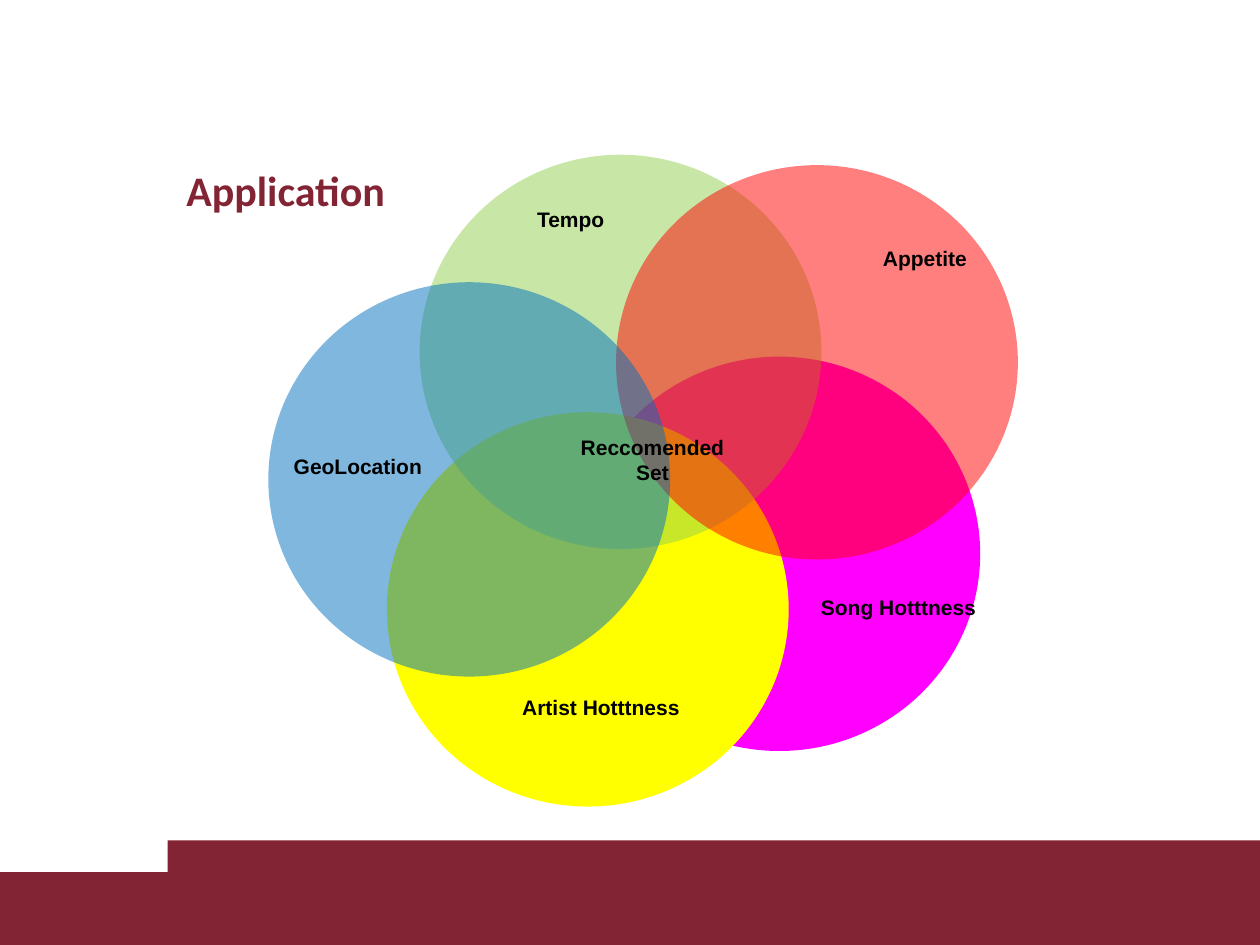
from lxml.etree import SubElement
from pptx import Presentation
from pptx.dml.color import RGBColor
from pptx.enum.shapes import MSO_SHAPE
from pptx.enum.text import MSO_ANCHOR, PP_ALIGN
from pptx.oxml.ns import qn
from pptx.util import Cm, Pt

COLORS = {
    "maroon": "822433",
    "magenta": "FF00FF",
    "yellow": "FFFF00",
    "green": "92D050",
    "red": "FF0000",
    "blue": "0070C0",
    "black": "000000",
}
SLIDE_WIDTH, SLIDE_HEIGHT = 25.4, 19.05
CIRCLE_WIDTH, CIRCLE_HEIGHT = 8.1, 7.95
LABEL_WIDTH, LINE_HEIGHT, LABEL_PADDING = 3.81, 0.51, 0.26

FOOTER_STEPS = [(0, 17.58), (3.38, 16.94)]
CIRCLES = [
    (11.66, 7.19, "magenta", 100),
    (7.8, 8.31, "yellow", 100),
    (8.46, 3.12, "green", 50),
    (12.42, 3.33, "red", 50),
    (5.41, 5.69, "blue", 50),
]
TITLE = "Application"
LABELS = [
    (11.25, 8.64, ["Reccomended", "Set"]),
    (16.74, 4.83, ["Appetite"]),
    (16.21, 11.86, ["Song Hotttness"]),
    (10.21, 13.87, ["Artist Hotttness"]),
    (5.31, 9.02, ["GeoLocation"]),
    (9.6, 4.04, ["Tempo"]),
]


def add_filled(slide, preset, left, top, width, height, color, opacity=100):
    shape = slide.shapes.add_shape(preset, Cm(left), Cm(top), Cm(width), Cm(height))
    shape.shadow.inherit = False
    shape.line.fill.background()
    shape.fill.solid()
    shape.fill.fore_color.rgb = RGBColor.from_string(COLORS[color])
    if opacity < 100:
        color_element = shape.fill._xPr.find(qn("a:solidFill"))[0]
        SubElement(color_element, qn("a:alpha"), val=str(opacity * 1000))


def add_text(slide, lines, left, top, width, height, size=12, font="Arial",
             color="black", align=PP_ALIGN.CENTER, anchor=MSO_ANCHOR.TOP):
    box = slide.shapes.add_textbox(Cm(left), Cm(top), Cm(width), Cm(height))
    frame = box.text_frame
    frame.word_wrap = True
    frame.vertical_anchor = anchor
    frame.text = "\n".join(lines)
    for paragraph in frame.paragraphs:
        paragraph.alignment = align
        run_font = paragraph.runs[0].font
        run_font.name = font
        run_font.size = Pt(size)
        run_font.bold = True
        run_font.color.rgb = RGBColor.from_string(COLORS[color])


presentation = Presentation()
presentation.slide_width = Cm(SLIDE_WIDTH)
presentation.slide_height = Cm(SLIDE_HEIGHT)
slide = presentation.slides.add_slide(presentation.slide_layouts[6])

for left, top in FOOTER_STEPS:
    add_filled(slide, MSO_SHAPE.RECTANGLE, left, top,
               SLIDE_WIDTH - left, SLIDE_HEIGHT - top, "maroon")

for left, top, color, opacity in CIRCLES:
    add_filled(slide, MSO_SHAPE.OVAL, left, top, CIRCLE_WIDTH, CIRCLE_HEIGHT, color, opacity)

add_text(slide, [TITLE], 3.51, 3.12, 20.6, 1.4, size=24, font="Calibri",
         color="maroon", align=PP_ALIGN.LEFT, anchor=MSO_ANCHOR.MIDDLE)

for left, top, lines in LABELS:
    add_text(slide, lines, left, top, LABEL_WIDTH, LABEL_PADDING + LINE_HEIGHT * len(lines))

presentation.save("out.pptx")
